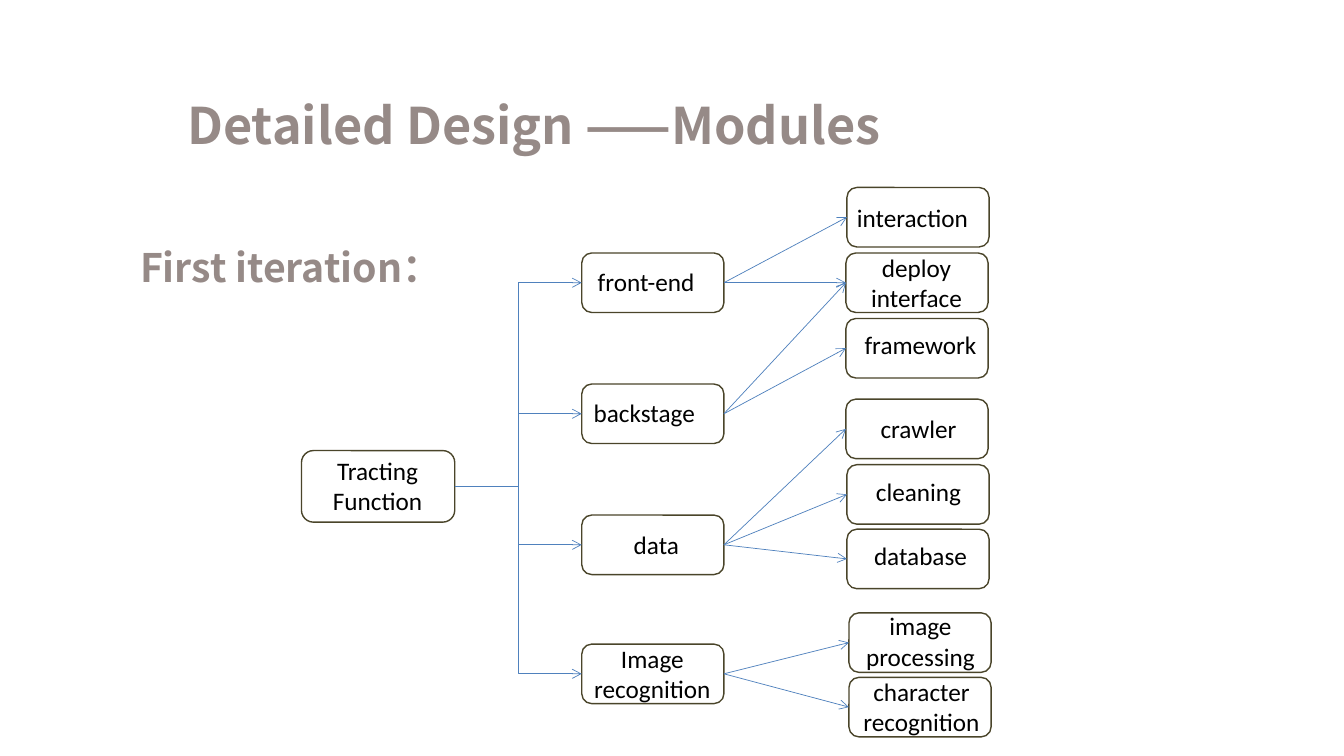
from dataclasses import dataclass

from lxml.etree import SubElement
from pptx import Presentation
from pptx.dml.color import RGBColor
from pptx.enum.shapes import MSO_CONNECTOR, MSO_SHAPE
from pptx.enum.text import PP_ALIGN
from pptx.oxml.ns import qn
from pptx.util import Pt

PX = 9144  # 100 px to the inch
LEFT_SITE, RIGHT_SITE = 1, 3


@dataclass(frozen=True)
class Theme:
    heading: RGBColor = RGBColor(0x96, 0x8A, 0x87)
    body: RGBColor = RGBColor(0, 0, 0)
    outline: RGBColor = RGBColor(0x4A, 0x45, 0x2A)
    arrow: RGBColor = RGBColor(0x4F, 0x81, 0xBD)
    heading_font: str = "Noto Sans CJK SC"
    body_font: str = "Calibri"
    title_size: int = 36
    subtitle_size: int = 28
    label_size: int = 18
    outline_width: float = 1
    arrow_width: float = 0.5


class ModuleSlide:
    def __init__(self, presentation, theme):
        self.theme = theme
        self.shapes = presentation.slides.add_slide(presentation.slide_layouts[6]).shapes

    def text(self, words, area, *, size, font, color, bold=False, align=PP_ALIGN.LEFT):
        frame = self.shapes.add_textbox(*(n * PX for n in area)).text_frame
        frame.word_wrap = True
        frame.text = words
        for paragraph in frame.paragraphs:
            paragraph.alignment = align
            for run in paragraph.runs:
                run.font.size = Pt(size)
                run.font.name = font
                run.font.bold = bold
                run.font.color.rgb = color
                SubElement(run.font._element, qn("a:ea")).set("typeface", font)

    def heading(self, words, area, size):
        self.text(words, area, size=size, font=self.theme.heading_font,
                  color=self.theme.heading, bold=True)

    def module(self, words, box, label, align=PP_ALIGN.CENTER):
        """Draw an outlined module with its label; return the outline."""
        outline = self.shapes.add_shape(MSO_SHAPE.FLOWCHART_ALTERNATE_PROCESS,
                                        *(n * PX for n in box))
        outline.shadow.inherit = False
        outline.fill.background()
        outline.line.color.rgb = self.theme.outline
        outline.line.width = Pt(self.theme.outline_width)
        self.text(words, label, size=self.theme.label_size, font=self.theme.body_font,
                  color=self.theme.body, align=align)
        return outline

    def arrow(self, parent, child, kind=MSO_CONNECTOR.STRAIGHT):
        """Link the right side of parent to the left side of child."""
        link = self.shapes.add_connector(
            kind, parent.left + parent.width, parent.top + parent.height // 2,
            child.left, child.top + child.height // 2)
        link.begin_connect(parent, RIGHT_SITE)
        link.end_connect(child, LEFT_SITE)
        link.line.color.rgb = self.theme.arrow
        link.line.width = Pt(self.theme.arrow_width)
        SubElement(link.line._get_or_add_ln(), qn("a:tailEnd")).set("type", "arrow")
        SubElement(link._element.spPr, qn("a:effectLst"))


MODULE_SIZE = (141, 59)
LEFT, CENTER = PP_ALIGN.LEFT, PP_ALIGN.CENTER

# name: (words, module left and top, label area, label alignment)
MODULES = {
    "front-end": ("front-end", (577, 251), (583, 259, 128, 71), LEFT),
    "backstage": ("backstage", (577, 381), (579, 389, 150, 40), LEFT),
    "data": ("data", (577, 511), (587, 520, 128, 40), CENTER),
    "recognition": ("Image recognition", (577, 639), (573, 633, 148, 71), CENTER),
    "interaction": ("interaction", (840, 186), (840, 196, 148, 40), LEFT),
    "deploy": ("deploy\ninterface", (839, 251), (845, 245, 128, 101), CENTER),
    "framework": ("framework", (839, 316), (830, 322, 166, 71), CENTER),
    "crawler": ("crawler", (839, 396), (837, 405, 148, 40), CENTER),
    "cleaning": ("cleaning", (840, 461), (847, 468, 128, 71), CENTER),
    "database": ("database", (840, 525), (830, 531, 166, 71), CENTER),
    "image": ("image processing", (842, 608), (823, 601, 180, 101), CENTER),
    "character": ("character recognition", (842, 672), (831, 666, 166, 71), CENTER),
}
PARTS = {
    "front-end": ("interaction", "deploy"),
    "backstage": ("framework", "deploy"),
    "data": ("crawler", "cleaning", "database"),
    "recognition": ("image", "character"),
}


def main():
    presentation = Presentation()
    presentation.slide_width, presentation.slide_height = 1333 * PX, 750 * PX
    theme = Theme()
    slide = ModuleSlide(presentation, theme)

    slide.heading("Detailed Design ——Modules", (176, 88, 820, 71), theme.title_size)
    slide.heading("First iteration：", (129, 236, 348, 57), theme.subtitle_size)

    tracting = slide.module("Tracting Function", (299, 447, 152, 71), (308, 447, 133, 71))
    modules = {name: slide.module(words, corner + MODULE_SIZE, label, align)
               for name, (words, corner, label, align) in MODULES.items()}

    for branch, parts in PARTS.items():
        slide.arrow(tracting, modules[branch], MSO_CONNECTOR.ELBOW)
        for part in parts:
            slide.arrow(modules[branch], modules[part])

    presentation.save("out.pptx")


if __name__ == "__main__":
    main()
